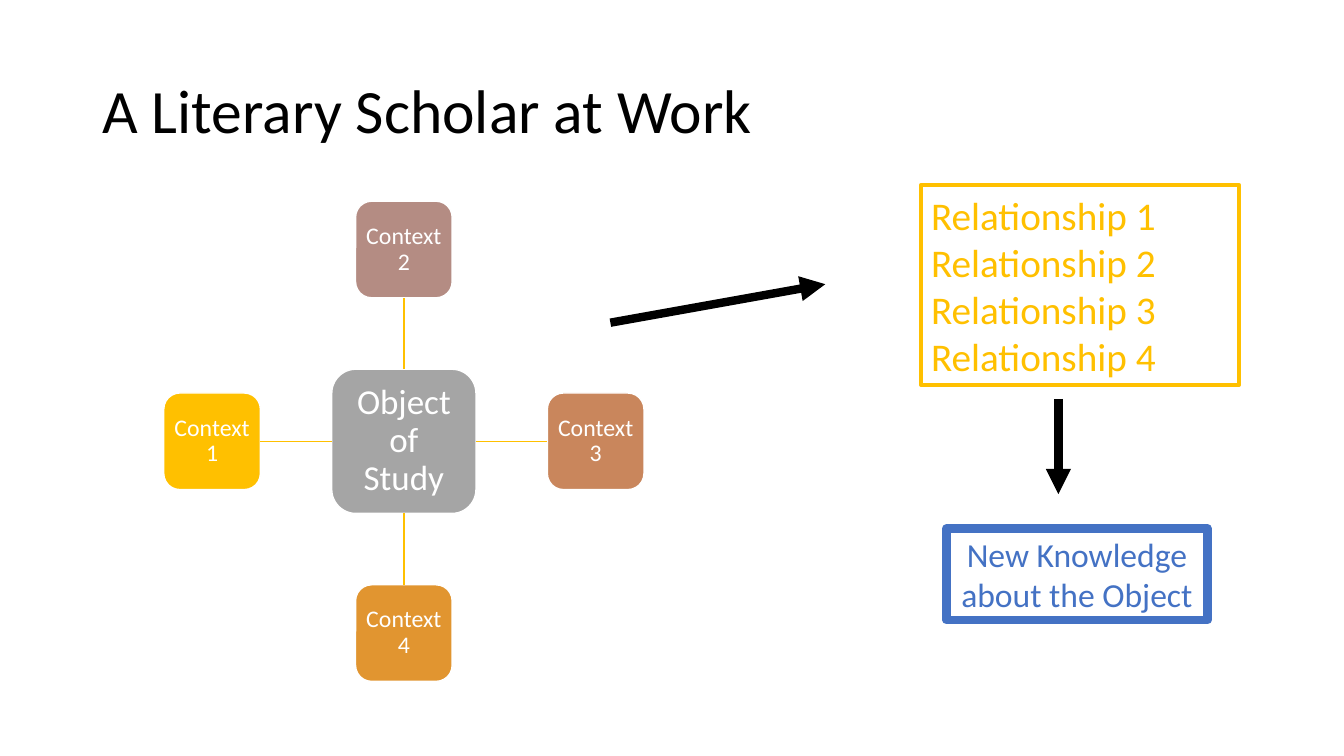
from lxml.etree import SubElement
from pptx import Presentation
from pptx.dml.color import RGBColor
from pptx.enum.shapes import MSO_CONNECTOR as Connector, MSO_SHAPE as Shape
from pptx.enum.text import MSO_ANCHOR as Anchor, PP_ALIGN as Align
from pptx.oxml.ns import qn
from pptx.util import Pt

BLACK = RGBColor(0x00, 0x00, 0x00)
WHITE = RGBColor(0xFF, 0xFF, 0xFF)
GRAY = RGBColor(0xA5, 0xA5, 0xA5)
GOLD = RGBColor(0xFF, 0xC0, 0x00)
MAUVE = RGBColor(0xB4, 0x8C, 0x83)
COPPER = RGBColor(0xC9, 0x86, 0x5C)
ORANGE = RGBColor(0xE1, 0x95, 0x30)
BLUE = RGBColor(0x44, 0x72, 0xC4)

CENTER_X, CENTER_Y = 288.5, 315.25
HUB_SIZE, CONTEXT_SIZE, REACH = 103, 69, 137
TOP, LEFT, BOTTOM, RIGHT = range(4)


class SlideBuilder:
    """Draws styled elements on one slide, with lengths in points."""

    font = "Calibri"

    def __init__(self, presentation):
        self.slide = presentation.slides.add_slide(presentation.slide_layouts[5])

    def set_text(self, shape, text, size, color, align, spacing=None):
        frame = shape.text_frame
        frame.text = text
        frame.word_wrap = True
        frame.vertical_anchor = Anchor.MIDDLE
        for paragraph in frame.paragraphs:
            paragraph.alignment = align
            paragraph.line_spacing = spacing
            for run in paragraph.runs:
                run.font.name = self.font
                run.font.size = Pt(size)
                run.font.color.rgb = color

    def title(self, text, left, top, width, height):
        shape = self.slide.shapes.title
        shape.left, shape.top = Pt(left), Pt(top)
        shape.width, shape.height = Pt(width), Pt(height)
        self.set_text(shape, text, 44, BLACK, Align.LEFT, 0.9)

    def box(self, kind, left, top, width, height, fill, line, weight):
        shape = self.slide.shapes.add_shape(kind, Pt(left), Pt(top), Pt(width), Pt(height))
        shape.shadow.inherit = False
        shape.fill.solid()
        shape.fill.fore_color.rgb = fill
        shape.line.color.rgb = line
        shape.line.width = Pt(weight)
        return shape

    def node(self, text, x, y, size, fill, font_size, inset):
        shape = self.box(Shape.ROUNDED_RECTANGLE, x - size / 2, y - size / 2,
                         size, size, fill, WHITE, 1)
        frame = shape.text_frame
        frame.margin_left = frame.margin_right = Pt(inset)
        frame.margin_top = frame.margin_bottom = Pt(inset)
        self.set_text(shape, text, font_size, WHITE, Align.CENTER, 0.9)
        return shape

    def panel(self, text, left, top, width, height, color, weight, size, align):
        shape = self.box(Shape.RECTANGLE, left, top, width, height, WHITE, color, weight)
        self.set_text(shape, text, size, color, align)

    def line(self, start, end, color, weight):
        connector = self.slide.shapes.add_connector(
            Connector.STRAIGHT, *(Pt(value) for value in (*start, *end)))
        connector.line.color.rgb = color
        connector.line.width = Pt(weight)
        SubElement(connector._element.spPr, qn("a:effectLst"))
        return connector

    def link(self, first, first_side, second, second_side):
        connector = self.line((0, 0), (1, 1), GOLD, 1)
        connector.begin_connect(first, first_side)
        connector.end_connect(second, second_side)

    def arrow(self, start, end):
        connector = self.line(start, end, BLACK, 6)
        outline = connector._element.spPr.find(qn("a:ln"))
        SubElement(outline, qn("a:tailEnd"), type="triangle")


def main():
    presentation = Presentation()
    presentation.slide_width, presentation.slide_height = Pt(960), Pt(540)
    builder = SlideBuilder(presentation)
    builder.title("A Literary Scholar at Work", 66, 28.75, 828, 104.4)

    hub = builder.node("Object of Study", CENTER_X, CENTER_Y, HUB_SIZE, GRAY, 25, 5)
    contexts = [
        ("Context 2", 0, -1, MAUVE, TOP, BOTTOM),
        ("Context 3", 1, 0, COPPER, RIGHT, LEFT),
        ("Context 4", 0, 1, ORANGE, BOTTOM, TOP),
        ("Context 1", -1, 0, GOLD, LEFT, RIGHT),
    ]
    for text, across, down, color, hub_side, context_side in contexts:
        context = builder.node(text, CENTER_X + across * REACH, CENTER_Y + down * REACH,
                               CONTEXT_SIZE, color, 17, 3.3)
        builder.link(hub, hub_side, context, context_side)

    relationships = "\n".join(f"Relationship {number}" for number in range(1, 5))
    builder.panel(relationships, 658, 132, 227, 143, GOLD, 3, 28, Align.LEFT)
    builder.panel("New Knowledge about the Object", 676, 377.5, 186.5, 65.5,
                  BLUE, 6, 24, Align.CENTER)
    builder.arrow((436, 230.5), (589.5, 203))
    builder.arrow((756, 285), (756, 353))
    presentation.save("out.pptx")


if __name__ == "__main__":
    main()
